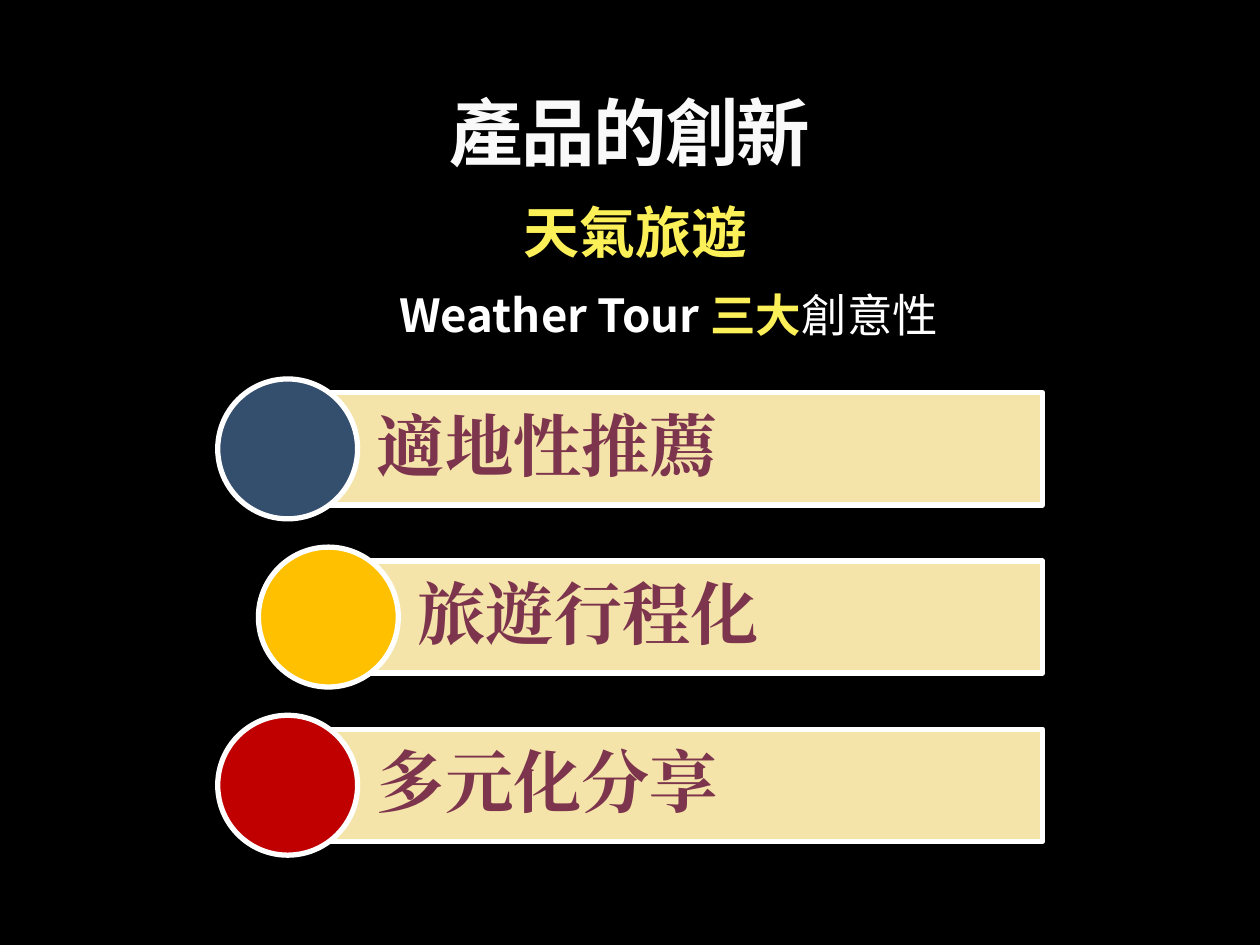
from pptx import Presentation
from pptx.dml.color import RGBColor
from pptx.enum.shapes import MSO_SHAPE
from pptx.enum.text import MSO_ANCHOR, PP_ALIGN
from pptx.oxml.ns import qn
from pptx.util import Cm, Pt
from lxml.etree import SubElement

SANS = "Noto Sans CJK TC"
SERIF = "TeX Gyre Pagella"
WHITE = "FFFFFF"
YELLOW = "FCF059"
BAR_RIGHT, BAR_TOP, BAR_HEIGHT, BAR_PITCH = 21.02, 7.92, 2.26, 3.39
CIRCLE = 2.82
IDEAS = [
    ("適地性推薦", 5.8, "344E6D"),
    ("旅遊行程化", 6.62, "FFC000"),
    ("多元化分享", 5.8, "C00000"),
]


def rgb(value):
    return RGBColor.from_string(value)


def add_run(p, text, size=26, color=WHITE, bold=True, font=SANS, spacing=None):
    r = p.add_run()
    r.text = text
    r.font.size = Pt(size)
    r.font.bold = bold
    r.font.color.rgb = rgb(color)
    r.font.name = font
    rPr = r.font._element
    SubElement(rPr, qn("a:ea")).set("typeface", font)
    if spacing is not None:
        rPr.set("spc", str(spacing * 100))


def add_text_box(slide, left, top, width, height, align=PP_ALIGN.LEFT, anchor=MSO_ANCHOR.TOP):
    tf = slide.shapes.add_textbox(Cm(left), Cm(top), Cm(width), Cm(height)).text_frame
    tf.word_wrap = True
    tf.vertical_anchor = anchor
    p = tf.paragraphs[0]
    p.alignment = align
    return p


def add_outlined(slide, kind, left, top, width, height, fill):
    sp = slide.shapes.add_shape(kind, Cm(left), Cm(top), Cm(width), Cm(height))
    sp.shadow.inherit = False
    sp.fill.solid()
    sp.fill.fore_color.rgb = rgb(fill)
    sp.line.color.rgb = rgb(WHITE)
    sp.line.width = Pt(3)
    return sp


def add_idea(slide, text, left, top, color):
    bar = add_outlined(slide, MSO_SHAPE.RECTANGLE, left, top,
                       BAR_RIGHT - left, BAR_HEIGHT, "F5E4A9")
    tf = bar.text_frame
    tf.word_wrap = True
    tf.vertical_anchor = MSO_ANCHOR.MIDDLE
    tf.margin_left = Cm(1.8)
    tf.margin_top = tf.margin_right = tf.margin_bottom = Cm(0.28)
    p = tf.paragraphs[0]
    p.alignment = PP_ALIGN.LEFT
    p.line_spacing = 0.9
    add_run(p, text, size=39, color="7C354D", font=SERIF)
    add_outlined(slide, MSO_SHAPE.OVAL, left - CIRCLE / 2,
                 top + (BAR_HEIGHT - CIRCLE) / 2, CIRCLE, CIRCLE, color)


def main():
    prs = Presentation()
    prs.slide_width, prs.slide_height = Cm(25.4), Cm(19.05)
    slide = prs.slides.add_slide(prs.slide_layouts[6])
    slide.background.fill.solid()
    slide.background.fill.fore_color.rgb = rgb("000000")

    title = add_text_box(slide, 1.27, 0.28, 22.86, 3.38, PP_ALIGN.CENTER, MSO_ANCHOR.BOTTOM)
    add_run(title, "產品的創新", size=42, color="F9F9F9", spacing=-1)

    tagline = add_text_box(slide, 7.8, 5.66, 19.41 - 1.81, 1.37)
    add_run(tagline, "Weather Tour ")
    add_run(tagline, "三大", color=YELLOW)
    add_run(tagline, "創意性", bold=False)

    product = add_text_box(slide, 10.31, 3.86, 7.19, 1.63)
    add_run(product, "天氣旅遊", size=32, color=YELLOW)

    for i, (text, left, color) in enumerate(IDEAS):
        add_idea(slide, text, left, BAR_TOP + i * BAR_PITCH, color)

    prs.save("out.pptx")


if __name__ == "__main__":
    main()
